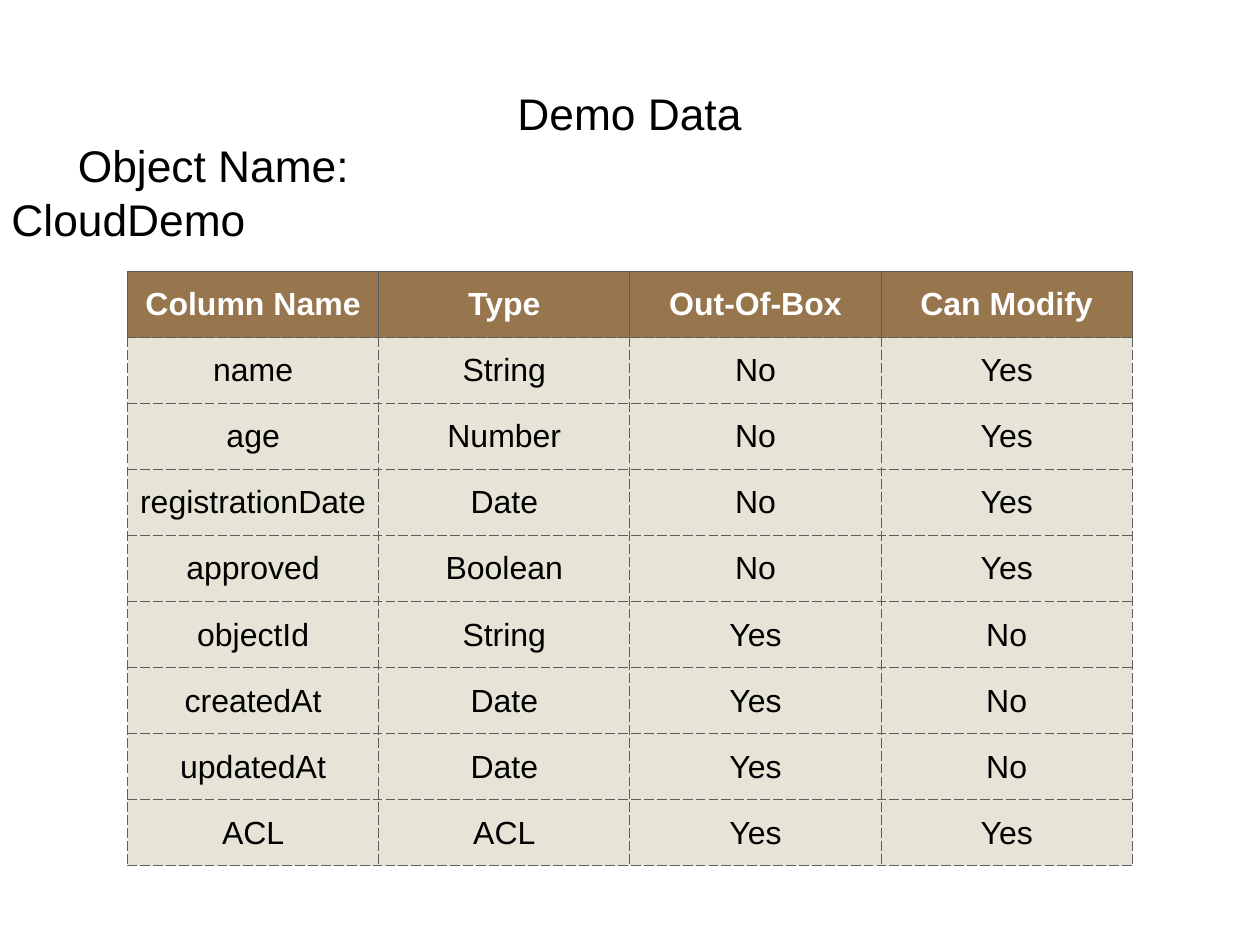
from lxml import etree
from pptx import Presentation
from pptx.dml.color import RGBColor
from pptx.enum import text
from pptx.oxml import ns
from pptx.util import Inches, Pt

FONT = "Arial"
INSET = Inches(0.06)
BLACK = RGBColor(0x00, 0x00, 0x00)
WHITE = RGBColor(0xFF, 0xFF, 0xFF)
BROWN = RGBColor(0x97, 0x76, 0x4E)
CREAM = RGBColor(0xE6, 0xE3, 0xD7)
INNER_GREY = RGBColor(0x5D, 0x5D, 0x5D)
OUTER_GREY = RGBColor(0x60, 0x60, 0x60)

COLUMNS = [
    ("Column Name", "Type", "Out-Of-Box", "Can Modify"),
    ("name", "String", "No", "Yes"),
    ("age", "Number", "No", "Yes"),
    ("registrationDate", "Date", "No", "Yes"),
    ("approved", "Boolean", "No", "Yes"),
    ("objectId", "String", "Yes", "No"),
    ("createdAt", "Date", "Yes", "No"),
    ("updatedAt", "Date", "Yes", "No"),
    ("ACL", "ACL", "Yes", "Yes"),
]


def style_text(paragraph, size, color, bold=False):
    """Apply the font settings to every run of a paragraph."""
    for span in paragraph.runs:
        span.font.name = FONT
        span.font.size = Pt(size)
        span.font.color.rgb = color
        span.font.bold = bold


def set_insets(holder):
    """Give a text frame or a cell the same small margin on all sides."""
    holder.margin_left = holder.margin_right = INSET
    holder.margin_top = holder.margin_bottom = INSET


def add_label(page, words, left, top, width, wrap):
    """Add a large line of text and return its paragraph."""
    box = page.shapes.add_textbox(Inches(left), Inches(top), Inches(width), Inches(0.71))
    frame = box.text_frame
    frame.text = words
    frame.word_wrap = wrap
    frame.auto_size = text.MSO_AUTO_SIZE.SHAPE_TO_FIT_TEXT
    frame.vertical_anchor = text.MSO_ANCHOR.MIDDLE
    set_insets(frame)
    style_text(frame.paragraphs[0], 36, BLACK)
    return frame.paragraphs[0]


def indent_first_line(paragraph, indent):
    """Indent only the first line of a paragraph."""
    properties = paragraph._p.get_or_add_pPr()
    properties.set("marL", "0")
    properties.set("indent", str(Inches(indent)))


def set_border(cell, side, color, dash):
    """Draw one side of a cell as a one-point line."""
    properties = cell._tc.get_or_add_tcPr()
    line = etree.SubElement(properties, ns.qn(f"a:ln{side}"), w=str(Pt(1)))
    fill = etree.SubElement(line, ns.qn("a:solidFill"))
    etree.SubElement(fill, ns.qn("a:srgbClr"), val=str(color))
    etree.SubElement(line, ns.qn("a:prstDash"), val=dash)


def format_cell(cell, words, row, column):
    """Fill a cell with its text, borders and background."""
    header = row == 0
    cell.text = words
    cell.vertical_anchor = text.MSO_ANCHOR.MIDDLE
    set_insets(cell)
    paragraph = cell.text_frame.paragraphs[0]
    paragraph.alignment = text.PP_ALIGN.CENTER
    style_text(paragraph, 26, WHITE if header else BLACK, header)
    outer = {
        "L": column == 0,
        "R": column == len(COLUMNS[0]) - 1,
        "T": False,
        "B": row == len(COLUMNS) - 1,
    }
    for side, is_outer in outer.items():
        color = OUTER_GREY if is_outer and not header else INNER_GREY
        dash = "solid" if header and side != "B" else "lgDash"
        set_border(cell, side, color, dash)
    cell.fill.solid()
    cell.fill.fore_color.rgb = BROWN if header else CREAM


def add_column_table(page):
    """Add the table that describes the columns of the object."""
    table = page.shapes.add_table(
        len(COLUMNS), len(COLUMNS[0]),
        Inches(1.44), Inches(3.07), Inches(11.34), Inches(6.71),
    ).table
    table.horz_banding = False
    for row, entries in enumerate(COLUMNS):
        for column, words in enumerate(entries):
            format_cell(table.cell(row, column), words, row, column)


def main():
    """Build the slide and save it."""
    deck = Presentation()
    deck.slide_width = Inches(14.22)
    deck.slide_height = Inches(10.67)
    page = deck.slides.add_slide(deck.slide_layouts[6])
    add_label(page, "Demo Data", 5.78, 0.92, 2.65, False)
    object_name = add_label(page, "Object Name: CloudDemo", 0.07, 1.81, 6.5, True)
    object_name.level = 3
    indent_first_line(object_name, 0.75)
    add_column_table(page)
    deck.save("out.pptx")


if __name__ == "__main__":
    main()
